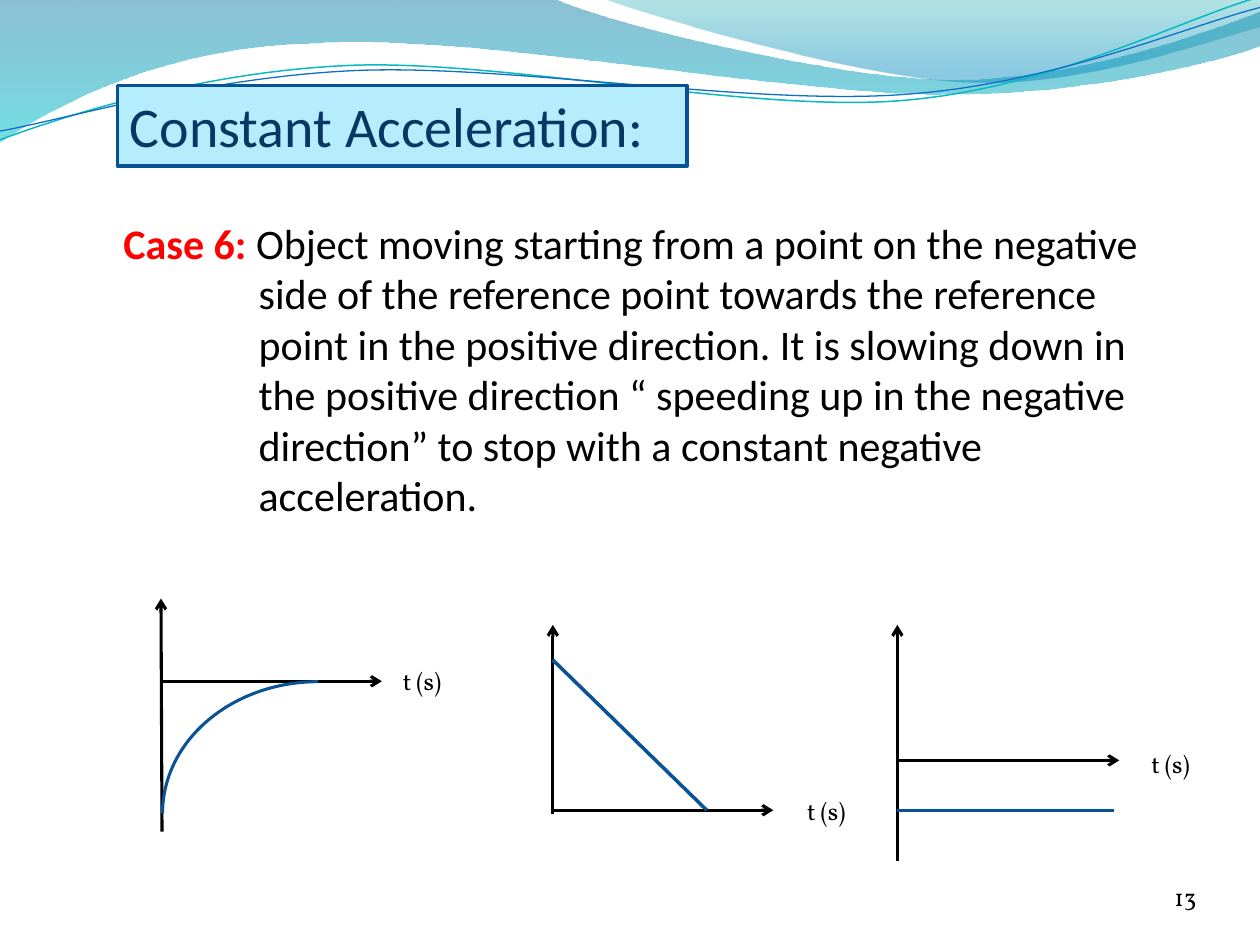
import math
from dataclasses import dataclass

import lxml.etree
import pptx
import pptx.dml.color
import pptx.enum.shapes
import pptx.enum.text
import pptx.oxml.ns
import pptx.util

Pt = pptx.util.Pt
qn = pptx.oxml.ns.qn
Align = pptx.enum.text.PP_ALIGN
Anchor = pptx.enum.text.MSO_ANCHOR
Fit = pptx.enum.text.MSO_AUTO_SIZE
Kind = pptx.enum.shapes.MSO_SHAPE
Point = tuple[float, float]
Box = tuple[float, float, float, float]


@dataclass(frozen=True)
class Theme:
    ink: str = "000000"
    blue: str = "095295"
    navy: str = "083763"
    pale: str = "B5EDFD"
    red: str = "FF0000"
    sans: str = "Calibri"
    serif: str = "Vollkorn"
    title: float = 32
    body: float = 24
    small: float = 14
    thin: float = 1.75
    thick: float = 2


@dataclass(frozen=True)
class Stop:
    pos: float
    color: str
    alpha: int


@dataclass(frozen=True)
class Wave:
    """Start point, then steps of two numbers (line) or six (curve)."""
    start: Point
    steps: tuple[tuple[float, ...], ...]
    fill: tuple[Stop, ...] = ()
    line: str = ""
    width: float = 0
    tilt: float = 0
    pivot: Point = (0, 0)


@dataclass(frozen=True)
class Graph:
    """Upright axis, time axis, the time label's corner, and a straight plot."""
    foot: Point
    top: Point
    left: Point
    right: Point
    label: Point
    plot: tuple[Point, ...] = ()


THEME = Theme()
WAVES = (
    Wave((0, 0), (
        (316.8, -0.7), (342.7, 12.2, 478.1, 45.4, 545.8, 45.4),
        (614.2, 45.4, 689.8, 18.7, 720, 6.5), (720.7, 25.9),
        (707.8, 31.7, 626.4, 54.7, 537.1, 54),
        (447.8, 54, 275, 20.2, 185, 24.5),
        (92.9, 25.9, 33.1, 59.8, -0.7, 81.4), (0, 0)),
        fill=(Stop(0, "0074A1", 45), Stop(1, "00C6CF", 55))),
    Wave((344.9, -0.7), (
        (366.5, 7.9, 491, 44.6, 553.7, 46.8),
        (616.3, 49.7, 691.9, 23, 720, 15.1), (720, 0), (344.9, -0.7)),
        fill=(Stop(0, "00A1A9", 30), Stop(0.8, "008BBF", 45))),
    Wave((0, 79.9), (
        (34.6, 67, 113.8, 41, 199.4, 37.4),
        (284.4, 33.8, 427, 64.1, 513.4, 57.6),
        (599.8, 51.1, 675.4, 10.8, 718.6, -1.4)),
        line="0AB8BF", width=0.85, tilt=-2.7, pivot=(359.3, 41.4)),
    Wave((0, 74.9), (
        (33.8, 69.1, 118.1, 43.9, 203.8, 40.3),
        (290.2, 36.7, 429.8, 60.5, 516.2, 54),
        (601.9, 48.2, 677.5, 15.1, 720, 4.3)),
        line="0F6FC6", width=0.75, tilt=-2.7, pivot=(359.6, 42.5)),
)
GRAPHS = (
    Graph((92.6, 475.2), (92, 342), (92.2, 389.3), (218.2, 389.3), (223.2, 377.3)),
    Graph((315.9, 465.1), (315.9, 357.1), (315.9, 463), (441.9, 463), (454.2, 451.1),
          ((315.9, 377.1), (403.9, 463))),
    Graph((512.8, 491.8), (512.8, 357.1), (513.6, 434.5), (639.6, 434.5), (650.9, 424.5),
          ((512.8, 463.2), (636.5, 463.2))),
)


def rgb(code: str):
    return pptx.dml.color.RGBColor.from_string(code)


def turn(dot: Point, pivot: Point, angle: float) -> Point:
    """The point turned clockwise about the pivot."""
    x, y = dot[0] - pivot[0], dot[1] - pivot[1]
    cos, sin = math.cos(math.radians(angle)), math.sin(math.radians(angle))
    return pivot[0] + x * cos - y * sin, pivot[1] + x * sin + y * cos


def draw_wave(slide, wave: Wave) -> None:
    dots = [wave.start] + [step[i:i + 2] for step in wave.steps for i in range(0, len(step), 2)]
    dots = [tuple(map(Pt, turn(dot, wave.pivot, -wave.tilt))) for dot in dots]
    pen = slide.shapes.build_freeform(*dots[0], scale=1.0)
    pen.add_line_segments(dots[1:], close=bool(wave.fill))
    shape = pen.convert_to_shape()
    shape.shadow.inherit = False
    shape.rotation = wave.tilt

    # Join each three segments of a curve into one Bezier step
    nodes = iter(list(shape.element.spPr.iter(qn("a:lnTo"))))
    for step in wave.steps:
        first = next(nodes)
        if len(step) == 6:
            first.tag = qn("a:cubicBezTo")
            for node in (next(nodes), next(nodes)):
                first.append(node[0])
                node.getparent().remove(node)

    if not wave.fill:
        shape.fill.background()
        shape.line.color.rgb = rgb(wave.line)
        shape.line.width = Pt(wave.width)
        return
    shape.line.fill.background()
    shape.fill.gradient()
    shape.fill.gradient_angle = 270
    for spot, stop in zip(shape.fill.gradient_stops, wave.fill):
        spot.position = stop.pos
        spot.color.rgb = rgb(stop.color)
    for node, stop in zip(shape.element.spPr.iter(qn("a:srgbClr")), wave.fill):
        lxml.etree.SubElement(node, qn("a:alpha"), val=str(stop.alpha * 1000))


def draw_line(slide, start: Point, end: Point, color: str, width: float, arrow: bool = False) -> None:
    line = slide.shapes.add_connector(
        pptx.enum.shapes.MSO_CONNECTOR.STRAIGHT, *map(Pt, start + end))
    line.line.color.rgb = rgb(color)
    line.line.width = Pt(width)
    props = line.element.spPr
    if arrow:
        lxml.etree.SubElement(props.find(qn("a:ln")), qn("a:tailEnd"), type="arrow")
    lxml.etree.SubElement(props, qn("a:effectLst"))


def draw_shape(slide, kind, box: Box, width: float, fill: str = ""):
    shape = slide.shapes.add_shape(kind, *map(Pt, box))
    shape.shadow.inherit = False
    shape.line.color.rgb = rgb(THEME.blue)
    shape.line.width = Pt(width)
    if fill:
        shape.fill.solid()
        shape.fill.fore_color.rgb = rgb(fill)
    else:
        shape.fill.background()
    return shape


def put_text(shape, *runs: tuple[str, str, bool], font: str, size: float, align=Align.LEFT,
             anchor=Anchor.TOP, hang: float = 0, inset: Point = (7.2, 3.6),
             fit=Fit.SHAPE_TO_FIT_TEXT) -> None:
    """Each run is its text, colour and boldness."""
    frame = shape.text_frame
    frame.word_wrap = True
    frame.auto_size = fit
    frame.vertical_anchor = anchor
    frame.margin_left = frame.margin_right = Pt(inset[0])
    frame.margin_top = frame.margin_bottom = Pt(inset[1])
    para = frame.paragraphs[0]
    para.alignment = align
    if hang:
        props = para._p.get_or_add_pPr()
        props.set("marL", str(Pt(hang)))
        props.set("indent", str(Pt(-hang)))
    for words, color, bold in runs:
        run = para.add_run()
        run.text = words
        run.font.name = font
        run.font.size = Pt(size)
        run.font.bold = bold
        run.font.color.rgb = rgb(color)


def add_box(slide, box: Box):
    return slide.shapes.add_textbox(*map(Pt, box))


def draw_graph(slide, graph: Graph) -> None:
    for ends in ((graph.left, graph.right), (graph.foot, graph.top)):
        draw_line(slide, *ends, THEME.ink, THEME.thin, arrow=True)
    put_text(add_box(slide, (*graph.label, 48.2, 24.5)), ("t (s)", THEME.ink, False),
             font=THEME.serif, size=THEME.small)
    if graph.plot:
        draw_line(slide, *graph.plot, THEME.blue, THEME.thick)


def main() -> None:
    deck = pptx.Presentation()
    deck.slide_width, deck.slide_height = Pt(720), Pt(540)
    slide = deck.slides.add_slide(deck.slide_layouts[6])

    # Waves along the top
    for wave in WAVES:
        draw_wave(slide, wave)

    # Slide number
    put_text(add_box(slide, (624, 491.8, 59.8, 28.8)), ("13", THEME.ink, False),
             font=THEME.serif, size=THEME.small, align=Align.RIGHT, anchor=Anchor.BOTTOM,
             inset=(0, 0), fit=Fit.NONE)

    # Graphs, with the curve of the first
    for graph in GRAPHS:
        draw_graph(slide, graph)
    arc = draw_shape(slide, Kind.ARC, (92.9, 389.5, 177.8, 150.5), THEME.thin)
    arc.element.spPr.find(qn("a:xfrm")).set("flipH", "1")

    # Title
    title = draw_shape(slide, Kind.RECTANGLE, (67.1, 48.9, 325.6, 46.1), THEME.thick, THEME.pale)
    put_text(title, ("Constant Acceleration:", THEME.navy, False),
             font=THEME.sans, size=THEME.title)

    # Case text
    put_text(add_box(slide, (63.4, 120.7, 608.4, 181.4)),
             ("Case 6: ", THEME.red, True),
             ("Object moving starting from a point on the negative side of the reference point "
              "towards the reference point in the positive direction. It is slowing down in the "
              "positive direction “ speeding up in the negative direction” to stop with a "
              "constant negative acceleration.", THEME.ink, False),
             font=THEME.sans, size=THEME.body, hang=77.3)

    deck.save("out.pptx")


if __name__ == "__main__":
    main()
